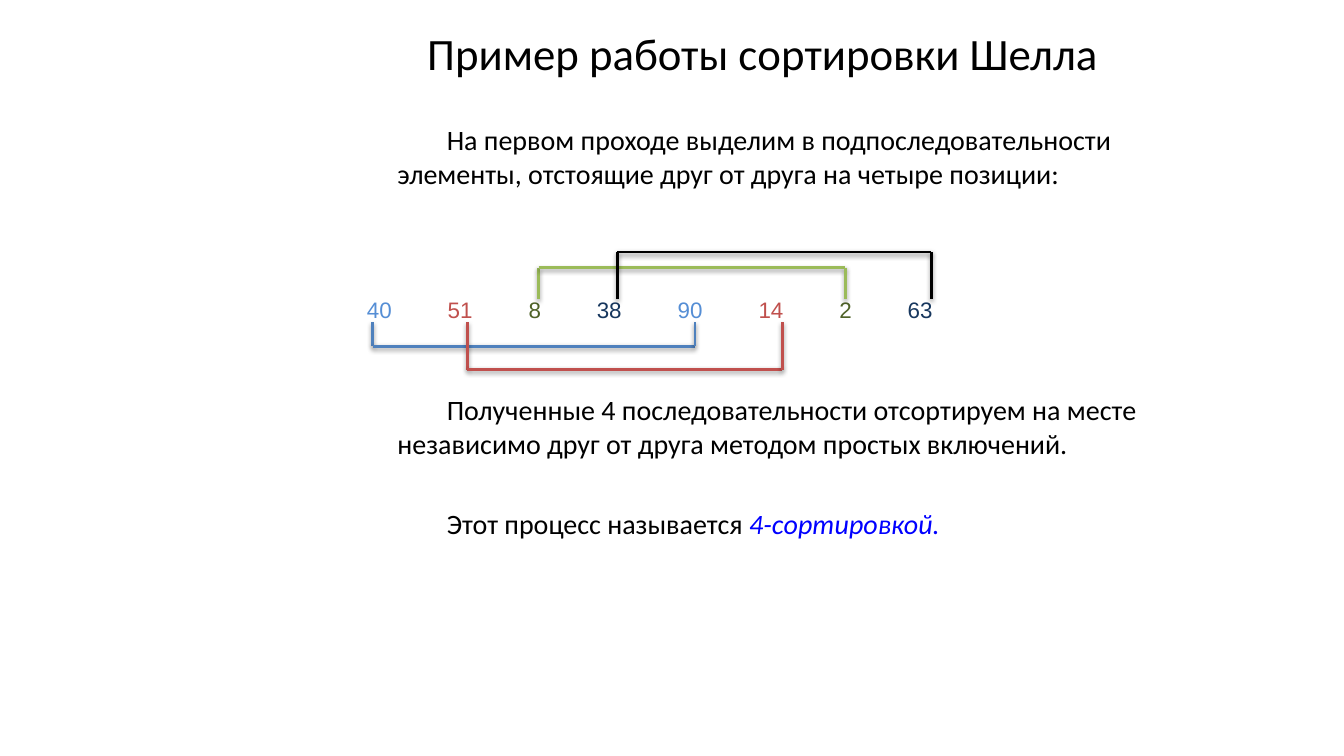
"""Build the slide with a worked example of Shell sort."""
from dataclasses import dataclass

from lxml.etree import SubElement
from pptx import Presentation
from pptx.dml.color import RGBColor
from pptx.enum.shapes import MSO_CONNECTOR
from pptx.enum.text import MSO_ANCHOR, PP_ALIGN
from pptx.oxml import parse_xml
from pptx.oxml.ns import nsdecls, qn
from pptx.shapes.shapetree import GroupShapes
from pptx.text.text import Font
from pptx.util import Pt

PX = 9525
DIGIT_WIDTH, NUMBER_GAP = 12, 53
MARGIN, INDENT = 36, 47
SHADOW = (
    f'<a:effectLst {nsdecls("a")}><a:outerShdw blurRad="40000" dist="20000" '
    'dir="5400000" rotWithShape="0"><a:srgbClr val="000000">'
    '<a:alpha val="38000"/></a:srgbClr></a:outerShdw></a:effectLst>'
)


@dataclass(frozen=True)
class Bracket:
    left: int
    right: int
    foot: int
    bar: int
    color: str


@dataclass(frozen=True)
class Passage:
    text: str
    space_before: int = 0
    term: str = ""


BRACKETS = [
    Bracket(355, 662, 307, 330, "4F81BD"),
    Bracket(445, 745, 307, 352, "C0504D"),
    Bracket(513, 805, 285, 255, "9BBB59"),
    Bracket(588, 887, 285, 240, "000000"),
]
NUMBERS = ["40", "51", "8", "38", "90", "14", "2", "63"]
NUMBER_COLORS = ["558ED5", "C0504D", "4F6228", "17375E"]
PASSAGES = [
    Passage("На первом проходе выделим в подпоследовательности элементы, "
            "отстоящие друг от друга на четыре позиции:"),
    Passage("Полученные 4 последовательности отсортируем на месте "
            "независимо друг от друга методом простых включений.", 145),
    Passage("Этот процесс называется ", 33, "4-сортировкой."),
]


def px(*lengths: int) -> list[int]:
    return [length * PX for length in lengths]


def rgb(color: str) -> RGBColor:
    return RGBColor.from_string(color)


def style(font: Font, name: str, size: int, color: str) -> None:
    font.name, font.size = name, Pt(size)
    font.color.rgb = rgb(color)


def add_title(slide) -> None:
    sp = slide.shapes.title
    sp.left, sp.top, sp.width, sp.height = px(333, 20, 787, 61)
    tf = sp.text_frame
    tf.text = "Пример работы сортировки Шелла"
    tf.vertical_anchor = MSO_ANCHOR.MIDDLE
    p = tf.paragraphs[0]
    p.alignment = PP_ALIGN.CENTER
    style(p.runs[0].font, "Calibri", 32, "000000")


def add_body(slide) -> None:
    tf = slide.shapes.add_textbox(*px(333, 112, 787, 543)).text_frame
    tf.word_wrap = True
    for i, passage in enumerate(PASSAGES):
        p = tf.add_paragraph() if i else tf.paragraphs[0]
        p.text = passage.text
        pPr = p._p.get_or_add_pPr()
        pPr.set("marL", str(MARGIN * PX))
        pPr.set("indent", str(INDENT * PX))
        p.space_before = Pt(passage.space_before)
        style(p.runs[0].font, "Calibri", 20, "000000")
        if passage.term:
            r = p.add_run()
            r.text = passage.term
            style(r.font, "Calibri", 20, "0000FF")
            r.font.italic = True


def add_numbers(shapes: GroupShapes) -> None:
    tf = shapes.add_textbox(*px(340, 277, 568, 36)).text_frame
    tf.word_wrap = True
    p = tf.paragraphs[0]
    tabs = SubElement(p._p.get_or_add_pPr(), qn("a:tabLst"))
    stop = 0
    for i, number in enumerate(NUMBERS):
        if i:
            SubElement(tabs, qn("a:tab"), pos=str(stop * PX), algn="l")
        r = p.add_run()
        r.text = f"\t{number}" if i else number
        style(r.font, "Arial", 16, NUMBER_COLORS[i % len(NUMBER_COLORS)])
        stop += DIGIT_WIDTH * len(number) + NUMBER_GAP


def add_bracket(shapes: GroupShapes, b: Bracket) -> None:
    corners = [(b.left, b.foot), (b.left, b.bar), (b.right, b.bar), (b.right, b.foot)]
    for start, end in zip(corners, corners[1:]):
        line = shapes.add_connector(MSO_CONNECTOR.STRAIGHT, *px(*start, *end))
        line.line.color.rgb = rgb(b.color)
        line.line.width = Pt(2)
        line._element.spPr.append(parse_xml(SHADOW))


def main() -> None:
    prs = Presentation()
    prs.slide_width, prs.slide_height = px(1280, 720)
    slide = prs.slides.add_slide(prs.slide_layouts[5])
    add_title(slide)
    add_body(slide)
    diagram = slide.shapes.add_group_shape().shapes
    add_numbers(diagram)
    for bracket in BRACKETS:
        add_bracket(diagram, bracket)
    prs.save("out.pptx")


if __name__ == "__main__":
    main()
